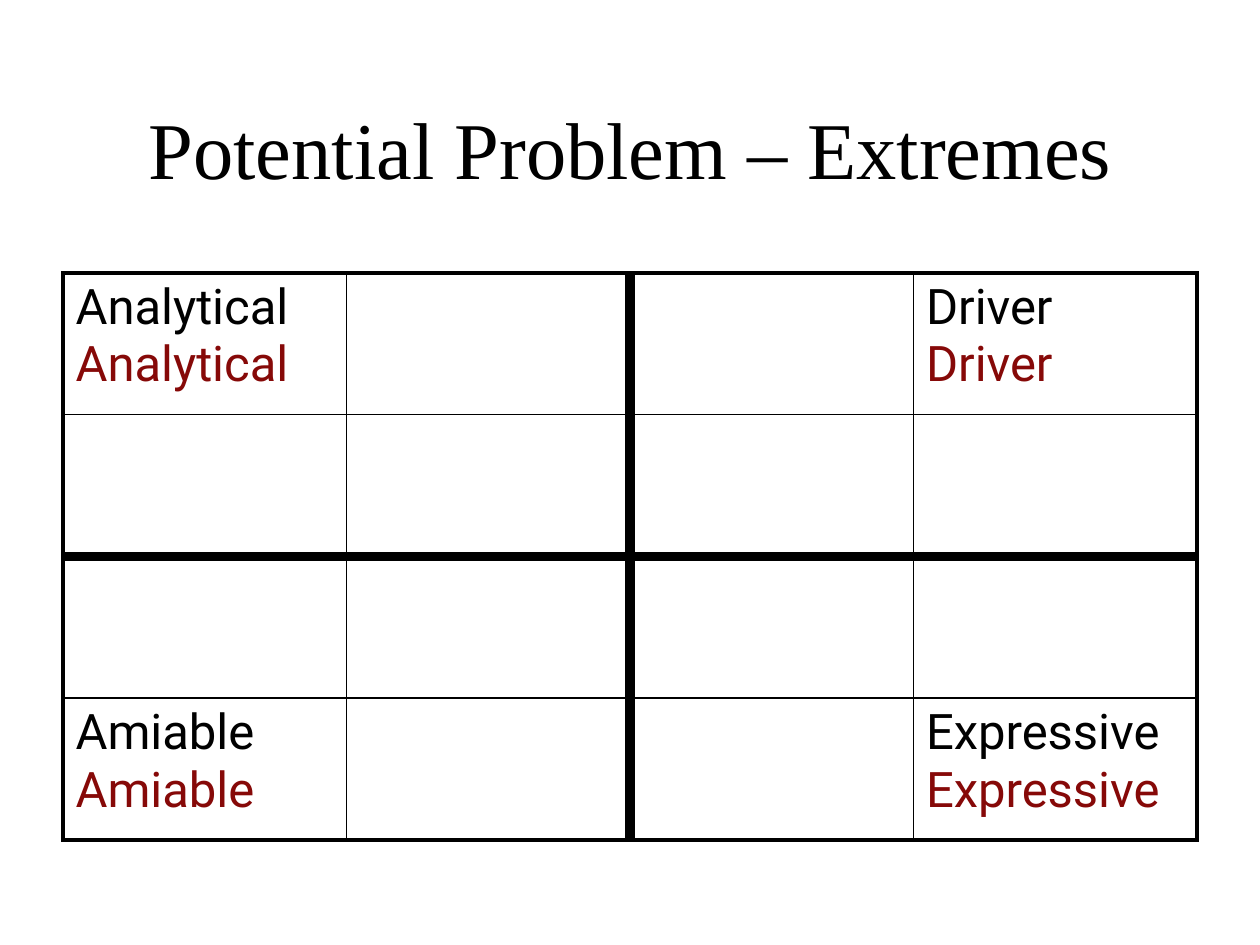
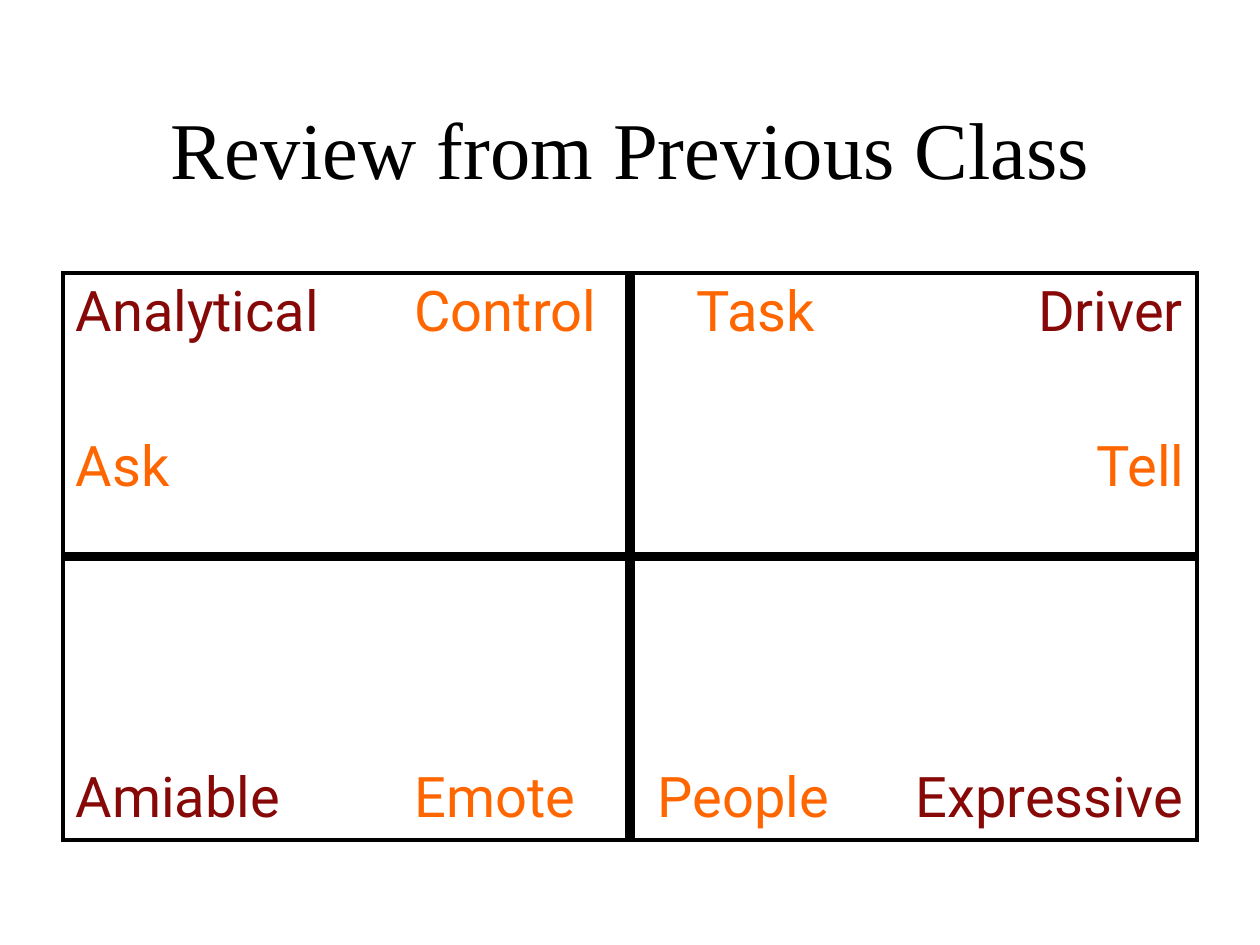
"""Build two slides that show the social styles on a quadrant grid."""
import pptx
import pptx.util
import pptx.dml.color
import pptx.enum.text
import pptx.oxml.ns
from lxml import etree

Pt = pptx.util.Pt
Inches = pptx.util.Inches
qn = pptx.oxml.ns.qn
PP = pptx.enum.text.PP_ALIGN
MSO = pptx.enum.text.MSO_ANCHOR
INK = {"black": "000000", "red": "860908", "orange": "FF6600"}

deck = pptx.Presentation()
deck.slide_width, deck.slide_height = Inches(10), Inches(7.5)
col = deck.slide_width // 20
row = deck.slide_height // 90


def write(para, text, size=28, ink="black", font="Roboto"):
    run = para.add_run()
    run.text = text
    run.font.size = Pt(size)
    run.font.name = font
    run.font.color.rgb = pptx.dml.color.RGBColor.from_string(INK[ink])


def rule(cell, side, width):
    line = etree.SubElement(cell._tc.get_or_add_tcPr(), qn("a:ln" + side), w=str(Pt(width)))
    fill = etree.SubElement(line, qn("a:solidFill"))
    etree.SubElement(fill, qn("a:srgbClr"), val=INK["black"])


styles = {(0, 0): "Analytical", (0, 3): "Driver", (3, 0): "Amiable", (3, 3): "Expressive"}
doubled = {
    spot: ([], PP.LEFT, [[(name + " ", "black"), (name, "red")]])
    for spot, name in styles.items()
}
left = [(2.69, "l")]
review = {
    (0, 0): (left, PP.LEFT, [[("Analytical", "red"), ("\tControl", "orange")], [("Ask", "orange")]]),
    (0, 1): ([(0.43, "l"), (4.29, "r")], PP.RIGHT,
             [[("\tTask", "orange"), ("\tDriver", "red")], [("Tell", "orange")]]),
    (1, 0): (left, PP.LEFT, [[("Amiable", "red"), ("\tEmote", "orange")]]),
    (1, 1): ([(0.12, "l"), (4.29, "r")], PP.LEFT,
             [[("\tPeople", "orange"), ("\tExpressive", "red")]]),
}
boards = [
    ("Potential Problem – Extremes", 4, 28, MSO.TOP, doubled),
    ("Review from Previous Class", 2, 32, MSO.BOTTOM, review),
]

for head, count, size, low, words in boards:
    slide = deck.slides.add_slide(deck.slide_layouts[5])
    title = slide.shapes.title
    title.left, title.top, title.width, title.height = col, 5 * row, 18 * col, 18 * row
    title.text_frame.vertical_anchor = MSO.MIDDLE
    para = title.text_frame.paragraphs[0]
    para.alignment = PP.CENTER
    write(para, head, size=46, font="Times New Roman")

    grid = slide.shapes.add_table(count, count, col, 26 * row, 18 * col, 54 * row).table
    grid.first_row = grid.horz_banding = False
    widths = [1] * (count + 1)
    widths[0] = widths[count] = 2.25
    widths[count // 2] = 6
    for r in range(count):
        for c in range(count):
            cell = grid.cell(r, c)
            for side, width in zip("LRTB", (widths[c], widths[c + 1], widths[r], widths[r + 1])):
                rule(cell, side, width)
            cell.fill.background()
            if (r, c) not in words:
                continue
            cell.vertical_anchor = low if r == count - 1 else MSO.TOP
            cell.margin_bottom = Inches(0.07)
            tabs, side, lines = words[r, c]
            for i, line in enumerate(lines):
                para = cell.text_frame.paragraphs[0] if i == 0 else cell.text_frame.add_paragraph()
                if tabs and i == 0:
                    stops = etree.SubElement(para._p.get_or_add_pPr(), qn("a:tabLst"))
                    for pos, kind in tabs:
                        etree.SubElement(stops, qn("a:tab"), pos=str(Inches(pos)), algn=kind)
                para.alignment = side if i else PP.LEFT
                if i:
                    para.space_before = Pt(51)
                for text, ink in line:
                    write(para, text, size=size, ink=ink)

deck.save("out.pptx")
